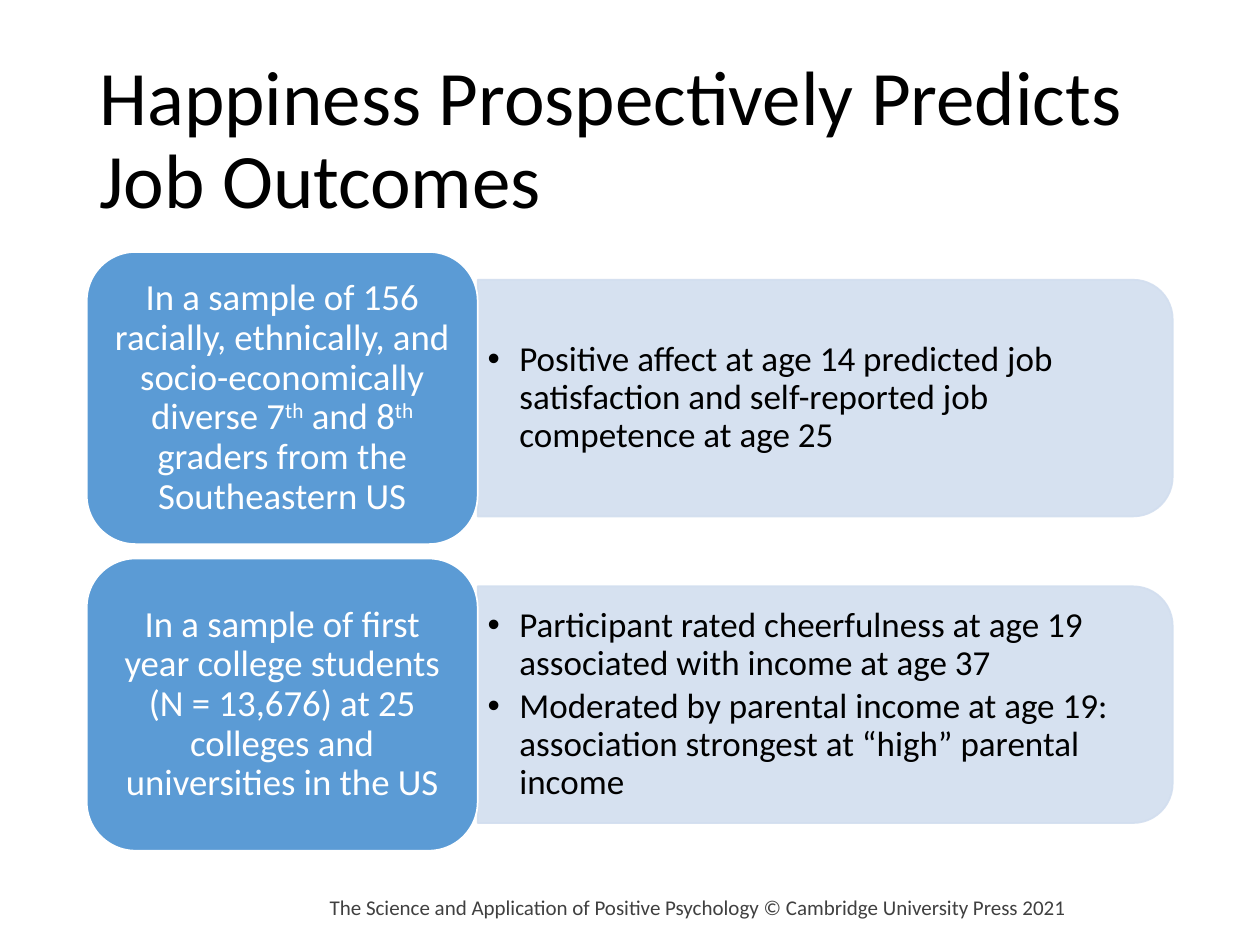
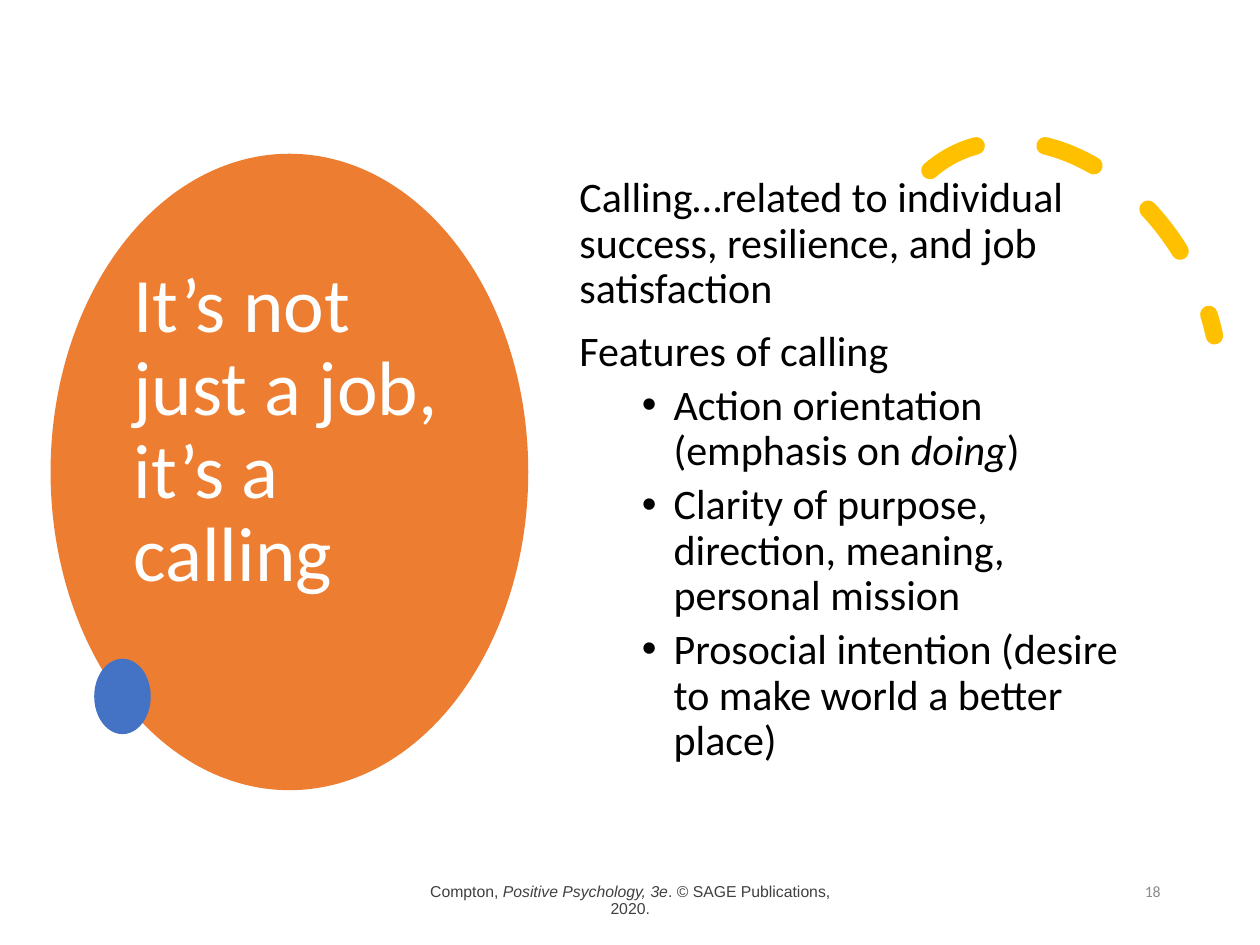
from dataclasses import dataclass

from pptx import Presentation
from pptx.dml.color import RGBColor as Rgb
from pptx.enum.dml import MSO_LINE as Dash
from pptx.enum.shapes import MSO_SHAPE as Form
from pptx.enum.text import MSO_ANCHOR as Anchor, MSO_AUTO_SIZE as Fit, PP_ALIGN as Align
from pptx.oxml.ns import qn
from pptx.util import Cm, Pt
from lxml.etree import SubElement as Sub


@dataclass(frozen=True)
class Theme:
    font: str = "Calibri"
    plain: str = "Arial"
    ink: str = "000000"
    white: str = "FFFFFF"
    blue: str = "5B9BD5"
    pale: str = "D2DEEF"
    orange: str = "ED7D31"
    navy: str = "4472C4"
    gold: str = "FFC000"
    gray: str = "404040"
    faint: str = "8C8C8C"
    head: int = 44
    body: int = 24
    label: int = 21
    point: int = 20
    foot: int = 12
    small: int = 9
    tight: float = 0.9


LOOK = Theme()


def place(shape, box):
    shape.left, shape.top, shape.width, shape.height = map(Cm, box)


def frame(shape, anchor=Anchor.MIDDLE, pad=(0.25, 0.13)):
    text = shape.text_frame
    text.word_wrap = True
    text.auto_size = Fit.NONE
    text.vertical_anchor = anchor
    text.margin_left = text.margin_right = Cm(pad[0])
    text.margin_top = text.margin_bottom = Cm(pad[1])
    return text


def write(para, parts, size, color, font=LOOK.font):
    for part in parts:
        words, style = part if isinstance(part, tuple) else (part, "")
        run = para.add_run()
        run.text = words
        run.font.name = font
        run.font.size = Pt(size)
        run.font.color.rgb = Rgb.from_string(color)
        if style == "italic":
            run.font.italic = True
        if style == "raised":
            run.font._element.set("baseline", "30000")


def indent(para, left, mark):
    props = para._p.get_or_add_pPr()
    props.set("marL", str(Cm(left)))
    props.set("indent", str(-Cm(0.64) if mark else 0))
    if mark:
        Sub(props, qn("a:buFont"), typeface=LOOK.plain)
        Sub(props, qn("a:buChar"), char="•")
    else:
        Sub(props, qn("a:buNone"))


def next_para(text, index):
    return text.add_paragraph() if index else text.paragraphs[0]


def draw(slide, form, box, fill=None, line=None, width=1):
    shape = slide.shapes.add_shape(form, *map(Cm, box))
    shape.shadow.inherit = False
    if fill:
        shape.fill.solid()
        shape.fill.fore_color.rgb = Rgb.from_string(fill)
    else:
        shape.fill.background()
    if line:
        shape.line.color.rgb = Rgb.from_string(line)
        shape.line.width = Pt(width)
    else:
        shape.line.fill.background()
    return shape


def set_title(slide, box, words, color):
    title = slide.shapes.title
    place(title, box)
    text = frame(title)
    para = text.paragraphs[0]
    para.alignment = Align.LEFT
    para.line_spacing = LOOK.tight
    write(para, [words], LOOK.head, color)
    return title


def add_note(slide, box, parts, size, color, font=LOOK.font,
             align=Align.CENTER, anchor=Anchor.MIDDLE, space=None):
    text = frame(slide.shapes.add_textbox(*map(Cm, box)), anchor)
    para = text.paragraphs[0]
    para.alignment = align
    para.line_spacing = space
    write(para, parts, size, color, font)


def add_panel(slide, box, points):
    left, top, width, height = box
    turned = (left + (width - height) / 2, top + (height - width) / 2, height, width)
    panel = draw(slide, Form.ROUND_2_SAME_RECTANGLE, turned, LOOK.pale, LOOK.pale)
    panel.rotation = 90
    for color in panel.element.spPr.iter(qn("a:srgbClr")):
        Sub(color, qn("a:alpha"), val="90000")

    inner = (left, top + 0.23, width - 0.23, height - 0.46)
    text = frame(slide.shapes.add_textbox(*map(Cm, inner)), pad=(0.2, 0.1))
    for index, point in enumerate(points):
        para = next_para(text, index)
        indent(para, 0.64, True)
        para.line_spacing = LOOK.tight
        para.space_after = Pt(3)
        write(para, [point], LOOK.point, LOOK.ink)


def add_label(slide, box, parts):
    label = draw(slide, Form.ROUNDED_RECTANGLE, box, LOOK.blue, LOOK.white)
    para = frame(label, pad=(0.22, 0.11)).paragraphs[0]
    para.alignment = Align.CENTER
    para.line_spacing = LOOK.tight
    write(para, parts, LOOK.label, LOOK.white)


def add_row(slide, box, parts, points):
    left, top, width, height = box
    side = width * 0.36
    add_panel(slide, (left + side, top + height * 0.095, width - side, height * 0.81), points)
    add_label(slide, (left, top, side, height), parts)


def add_list(slide, box, items):
    body = slide.placeholders[1]
    place(body, box)
    text = frame(body, Anchor.TOP)
    for index, (level, parts) in enumerate(items):
        para = next_para(text, index)
        para.level = level
        indent(para, 1.9 * level, level)
        para.line_spacing = LOOK.tight
        para.space_before = Pt((5 if level else 10) if index else 0)
        write(para, parts, LOOK.body, LOOK.ink)
    return body


def add_arc(slide, box):
    arc = draw(slide, Form.ARC, box, line=LOOK.gold, width=10)
    arc.adjustments[0], arc.adjustments[1] = 158.17, 17.81
    arc.rotation = 330.2
    arc.line.dash_style = Dash.DASH
    arc.line._ln.set("cap", "rnd")
    return arc


def job_slide(deck):
    slide = deck.slides.add_slide(deck.slide_layouts[5])
    set_title(slide, (1.75, 1.02, 21.9, 3.68),
              "Happiness Prospectively Predicts Job Outcomes", LOOK.ink)
    rows = [
        (["In a sample of 156 racially, ethnically, and socio-economically diverse 7",
          ("th", "raised"), " and 8", ("th", "raised"),
          " graders from the Southeastern US"],
         ["Positive affect at age 14 predicted job satisfaction and "
          "self-reported job competence at age 25"]),
        (["In a sample of first year college students (N = 13,676) at 25 "
          "colleges and universities in the US"],
         ["Participant rated cheerfulness at age 19 associated with income at age 37",
          "Moderated by parental income at age 19: association strongest at "
          "“high” parental income"]),
    ]
    for index, (parts, points) in enumerate(rows):
        add_row(slide, (1.75, 5.08 + 6.18 * index, 21.89, 5.89), parts, points)
    add_note(slide, (5.56, 17.65, 17.02, 1.27),
             ["The Science and Application of Positive Psychology "
              "© Cambridge University Press 2021"], LOOK.foot, LOOK.gray)


def call_slide(deck):
    slide = deck.slides.add_slide(deck.slide_layouts[1])
    title = set_title(slide, (2.44, 3.89, 6.76, 11.3),
                      "It’s not just a job, it’s a calling", LOOK.white)
    title.text_frame.margin_bottom = Cm(1.8)
    body = add_list(slide, (11.43, 3.43, 11.53, 12.52), [
        (0, ["Calling…related to individual success, resilience, and job satisfaction"]),
        (0, ["Features of calling"]),
        (1, ["Action orientation (emphasis on ", ("doing", "italic"), ")"]),
        (1, ["Clarity of purpose, direction, meaning, personal mission"]),
        (1, ["Prosocial intention (desire to make world a better place)"]),
    ])
    disc = draw(slide, Form.OVAL, (1.02, 3.1, 9.63, 12.83), LOOK.orange)
    title.element.addprevious(disc.element)
    arc = add_arc(slide, (18.08, 2.62, 6.22, 8.31))
    dot = draw(slide, Form.OVAL, (1.9, 13.28, 1.14, 1.52), LOOK.navy)
    for shape in (arc, dot):
        body.element.addprevious(shape.element)
    add_note(slide, (8.41, 17.65, 8.59, 1.02),
             ["Compton, ", ("Positive Psychology, 3e", "italic"),
              ". © SAGE Publications, 2020."],
             LOOK.small, LOOK.gray, LOOK.plain, space=LOOK.tight)
    add_note(slide, (17.93, 17.65, 5.72, 1.02), ["18"], LOOK.small, LOOK.faint,
             align=Align.RIGHT, anchor=Anchor.TOP)


def main():
    deck = Presentation()
    deck.slide_width, deck.slide_height = Cm(25.4), Cm(19.05)
    job_slide(deck)
    call_slide(deck)
    deck.save("out.pptx")


if __name__ == "__main__":
    main()
